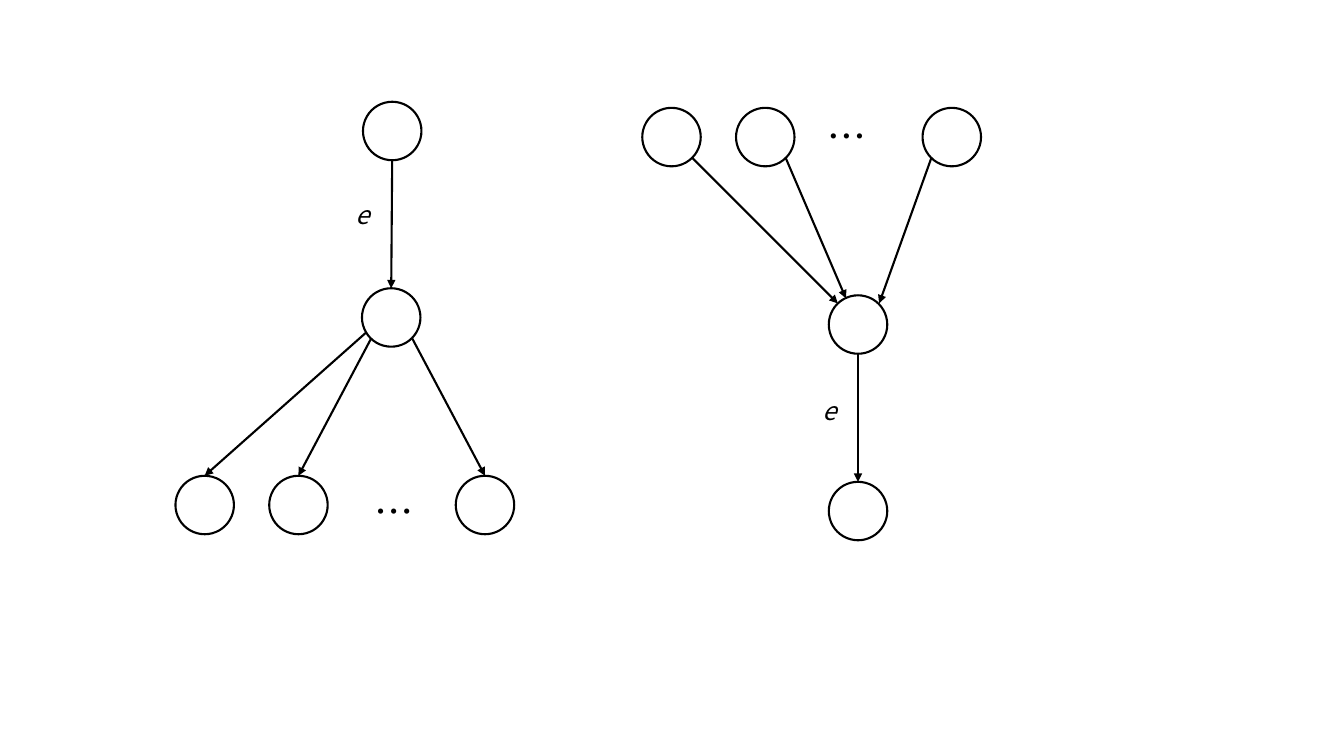
from dataclasses import dataclass

from lxml import etree
from pptx import Presentation
from pptx import util as u
from pptx.dml.color import RGBColor
from pptx.enum import shapes, text
from pptx.oxml.ns import qn


@dataclass
class Theme:
    ink: RGBColor = RGBColor(0, 0, 0)
    font: str = "Noto Sans CJK JP"
    line: u.Pt = u.Pt(1.5)
    dots_size: u.Pt = u.Pt(28)
    edge_size: u.Pt = u.Pt(18)


theme = Theme()
NODE = 0.58

deck = Presentation()
deck.slide_width, deck.slide_height = u.Inches(13.33), u.Inches(7.5)
slide = deck.slides.add_slide(deck.slide_layouts[6])


def add_label(label, box, size, align, italic=False, rotation=0):
    frame_box = slide.shapes.add_textbox(*map(u.Inches, box))
    frame_box.rotation = rotation
    frame = frame_box.text_frame
    frame.word_wrap = True
    frame.auto_size = text.MSO_AUTO_SIZE.SHAPE_TO_FIT_TEXT
    paragraph = frame.paragraphs[0]
    paragraph.text = label
    paragraph.alignment = align
    paragraph.font.name = theme.font
    paragraph.font.size = size
    paragraph.font.italic = italic
    paragraph.font.color.rgb = theme.ink


# Nodes: left, top of each circle
out_tree = [(3.6, 1.01), (3.59, 2.86)] + [(x, 4.72) for x in (1.74, 2.67, 4.52)]
in_tree = [(8.22, 4.78), (8.22, 2.93)] + [(x, 1.07) for x in (6.37, 7.3, 9.15)]
for left, top in out_tree + in_tree:
    node = slide.shapes.add_shape(
        shapes.MSO_SHAPE.OVAL, *map(u.Inches, (left, top, NODE, NODE)))
    node.shadow.inherit = False
    node.fill.background()
    node.line.color.rgb = theme.ink
    node.line.width = theme.line

# Edges: start x, y, then tip x, y
out_edges = [
    (3.89, 1.59, 3.88, 2.86),
    (3.63, 3.3, 2.03, 4.72),
    (3.68, 3.36, 2.96, 4.72),
    (4.09, 3.36, 4.81, 4.72),
]
in_edges = [
    (6.86, 1.56, 8.31, 3.01),
    (7.79, 1.56, 8.39, 2.96),
    (9.24, 1.56, 8.72, 3.01),
    (8.51, 3.5, 8.51, 4.78),
]
for ends in out_edges + in_edges:
    edge = slide.shapes.add_connector(
        shapes.MSO_CONNECTOR.STRAIGHT, *map(u.Inches, ends))
    edge.line.color.rgb = theme.ink
    edge.line.width = theme.line
    etree.SubElement(edge.line._get_or_add_ln(), qn("a:tailEnd"), type="triangle")
    etree.SubElement(edge._element.spPr, qn("a:effectLst"))

# Ellipses between sibling nodes
for left, top, rotation in [(3.62, 4.79, 0), (8.18, 1.07, 180)]:
    add_label("…", (left, top, 0.51, 0.57), theme.dots_size,
              text.PP_ALIGN.CENTER, rotation=rotation)

# Edge names
for left, top in [(3.43, 1.93), (8.06, 3.87)]:
    add_label("e", (left, top, 0.9, 0.4), theme.edge_size,
              text.PP_ALIGN.LEFT, italic=True)

deck.save("out.pptx")
